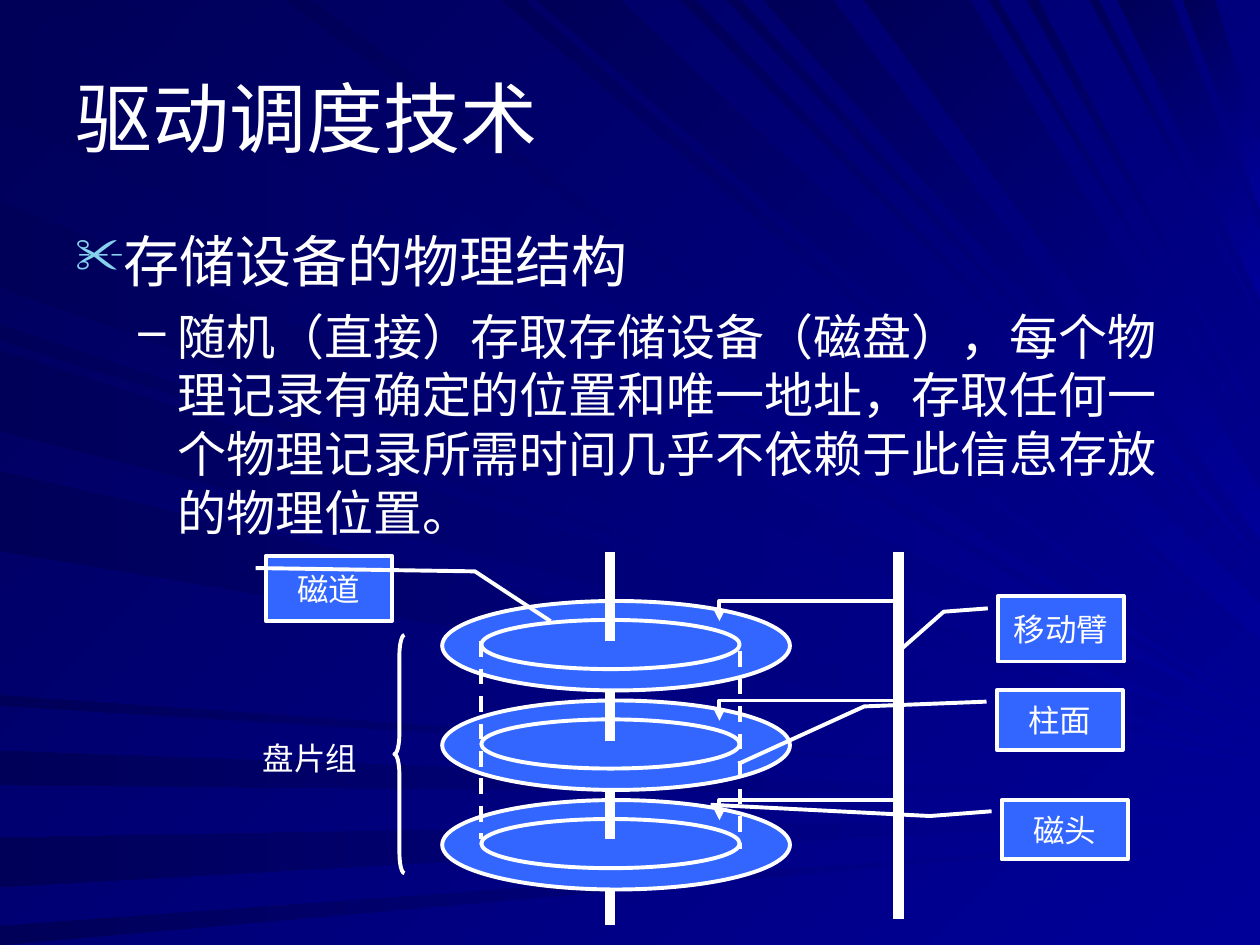
from dataclasses import dataclass
from itertools import chain
from typing import Any, Optional

from lxml import etree
from pptx import Presentation
from pptx.dml.color import RGBColor
from pptx.enum import dml, shapes, text
from pptx.oxml import ns
from pptx.util import Inches, Pt

WHITE = RGBColor(0xFF, 0xFF, 0xFF)
DISC = RGBColor(0x33, 0x66, 0xFF)
SKY = RGBColor(0x86, 0xD1, 0xEC)
BLUE = RGBColor(0, 0, 0x99)
DEEP = RGBColor(0, 0, 0x58)
FONT = "Arial"
SHAPE = shapes.MSO_SHAPE
WIDE, HIGH = 10, 7.5
THIN, THICK = 2.25, 6
GAP = 0.79
DISCS = 3


@dataclass
class Ray:
    near: float
    far: float
    tip: float
    spread: float = 0


@dataclass
class Call:
    label: str
    box: tuple[float, float, float, float]
    bends: tuple[float, float, float, float]


@dataclass
class Para:
    words: str
    size: int
    mark: str = ""
    tint: RGBColor = WHITE
    scale: int = 100
    left: float = 0
    hang: float = 0
    level: int = 0
    above: int = 0
    align: Any = text.PP_ALIGN.LEFT


SIDE = [
    Ray(0.02, 0.93, 5.7), Ray(5.96, 6.23, 6.32), Ray(6.65, 7.04, 6.47),
    Ray(7.35, 7.5, 6.62), Ray(2.58, 2.7, 5.89), Ray(1.59, 2.28, 5.85),
    Ray(2.78, 3.42, 6), Ray(3.74, 4.37, 6.05), Ray(5.52, 5.6, 6.22),
]
ROOF = [
    Ray(0.26, 1.01, 5.63), Ray(3.98, 4.16, 5.18), Ray(4.26, 4.92, 4.93, 0.28),
    Ray(5.4, 5.52, 4.63), Ray(6.06, 6.61, 4.46), Ray(8.87, 9.3, 2.1, 0.54),
    Ray(9.39, 9.64, 1.4, 0.53), Ray(2.25, 2.47, 5.5), Ray(5.77, 5.88, 4.54),
    Ray(6.86, 7.7, 4.09, 0.38), Ray(7.85, 7.92, 3.57), Ray(8.15, 8.24, 3.36),
    Ray(8.65, 8.72, 2.53),
]
CALLS = [
    Call("移动臂", (7.92, 4.73, 1, 0.52), (0.24, -0.43, 0.85, -0.79)),
    Call("磁头", (7.95, 6.35, 1, 0.47), (0.27, -0.57, 0.08, -2.31)),
    Call("柱面", (7.91, 5.48, 1, 0.47), (0.27, -1.05, 1.24, -2.05)),
    Call("磁道", (2.11, 4.41, 1, 0.52), (0.24, 1.66, 1, 2.26)),
]
BODY = [
    Para("存储设备的物理结构", 32, "✂", SKY, 90, 0.38, -0.38),
    Para("随机（直接）存取存储设备（磁盘），每个物理记录有确定的位置和唯一地址，"
         "存取任何一个物理记录所需时间几乎不依赖于此信息存放的物理位置。",
         28, "–", left=0.81, hang=-0.31, level=1, above=7),
]


def put(item: Any, values: dict[str, Any]) -> None:
    for name, value in values.items():
        setattr(item, name, value)


def add_tag(parent: Any, name: str, **attrs: str) -> Any:
    return etree.SubElement(parent, ns.qn(name), attrs)


def shade(fill: Any, angle: int) -> None:
    fill.gradient()
    fill.gradient_angle = angle
    for part, color in zip(fill.gradient_stops, (BLUE, DEEP)):
        part.color.rgb = color


def stroke(item: Any, width: float = THIN) -> None:
    item.line.color.rgb = WHITE
    item.line.width = Pt(width)


def trace(slide: Any, points: list[tuple[float, float]], close: bool) -> Any:
    spots = [(Inches(x), Inches(y)) for x, y in points]
    pen = slide.shapes.build_freeform(*spots[0])
    pen.add_line_segments(spots[1:], close=close)
    item = pen.convert_to_shape()
    item.shadow.inherit = False
    return item


def draw_ray(slide: Any, ray: Ray, roof: bool) -> None:
    half = ray.spread / 2
    base = [(ray.far, 0), (ray.near, 0)] if roof else [(0, ray.near), (0, ray.far)]
    item = trace(slide, base + [(WIDE, ray.tip + half), (WIDE, ray.tip - half)], True)
    shade(item.fill, 135 if roof else 180)
    item.line.fill.background()


def draw_shape(slide: Any, kind: Any, box: tuple[float, ...], fill: Optional[RGBColor] = None) -> Any:
    item = slide.shapes.add_shape(kind, *map(Inches, box))
    item.shadow.inherit = False
    if fill is None:
        item.fill.background()
    else:
        item.fill.solid()
        item.fill.fore_color.rgb = fill
    stroke(item)
    return item


def draw_line(slide: Any, x: float, top: float, base: float, width: float) -> Any:
    item = slide.shapes.add_connector(shapes.MSO_CONNECTOR.STRAIGHT, *map(Inches, (x, top, x, base)))
    add_tag(item._element.spPr, "a:effectLst")
    stroke(item, width)
    return item


def draw_arm(slide: Any, top: float) -> None:
    item = trace(slide, [(5.71, top + 0.16), (5.71, top), (7.13, top)], False)
    item.fill.background()
    stroke(item)
    add_tag(item.line._get_or_add_ln(), "a:headEnd", type="triangle")


def write(item: Any, paras: list[Para], anchor: Any = text.MSO_ANCHOR.TOP) -> None:
    frame = item.text_frame
    put(frame, {"word_wrap": True, "vertical_anchor": anchor})
    for i, para in enumerate(paras):
        line = frame.add_paragraph() if i else frame.paragraphs[0]
        if para.mark:
            props = line._p.get_or_add_pPr()
            props.set("marL", str(Inches(para.left)))
            props.set("indent", str(Inches(para.hang)))
            add_tag(add_tag(props, "a:buClr"), "a:srgbClr", val=str(para.tint))
            add_tag(props, "a:buSzPct", val=str(para.scale * 1000))
            add_tag(props, "a:buChar", char=para.mark)
        put(line, {"text": para.words, "level": para.level, "alignment": para.align,
                   "space_before": Pt(para.above)})
        put(line.font, {"name": FONT, "size": Pt(para.size)})
        line.font.color.rgb = WHITE


def draw_text(slide: Any, box: tuple[float, ...], paras: list[Para], anchor: Any = text.MSO_ANCHOR.TOP) -> None:
    write(slide.shapes.add_textbox(*map(Inches, box)), paras, anchor)


def draw_call(slide: Any, call: Call) -> None:
    item = draw_shape(slide, SHAPE.LINE_CALLOUT_2, call.box, DISC)
    for i, value in enumerate(chain((0.19, -0.08), call.bends)):
        item.adjustments[i] = value
    write(item, [Para(call.label, 18, align=text.PP_ALIGN.CENTER)], text.MSO_ANCHOR.MIDDLE)


def main() -> None:
    deck = Presentation()
    put(deck, {"slide_width": Inches(WIDE), "slide_height": Inches(HIGH)})
    slide = deck.slides.add_slide(deck.slide_layouts[6])
    shade(slide.background.fill, 135)
    for rays, roof in ((SIDE, False), (ROOF, True)):
        for ray in rays:
            draw_ray(slide, ray, roof)
    draw_text(slide, (0.5, 0.3, 9, 1.25), [Para("驱动调度技术", 44)], text.MSO_ANCHOR.MIDDLE)
    draw_text(slide, (0.5, 1.75, 9, 2.47), BODY)

    steps = [i * GAP for i in range(DISCS)]
    for step in steps:
        draw_shape(slide, SHAPE.OVAL, (3.51, 4.77 + step, 2.76, 0.71), DISC)
    for step in steps:
        draw_shape(slide, SHAPE.OVAL, (3.82, 4.92 + step, 2.05, 0.39))
    for top, base in ((4.38, 5.09), (5.48, 5.88), (6.27, 6.66), (7.06, 7.34)):
        draw_line(slide, 4.84, top, base, THICK)
    for x, top in ((3.82, 5.09), (5.87, 5.17)):
        draw_line(slide, x, top, top + 1.57, THIN).line.dash_style = dml.MSO_LINE.DASH
    draw_line(slide, 7.13, 4.38, 7.29, THICK)
    for step in steps:
        draw_arm(slide, 4.77 + step)
    brace = draw_shape(slide, SHAPE.LEFT_BRACE, (3.13, 5.04, 0.08, 1.89))
    brace.adjustments[0] = 2
    draw_text(slide, (1.95, 5.82, 1.02, 0.4), [Para("盘片组", 18, align=text.PP_ALIGN.CENTER)])
    for call in CALLS:
        draw_call(slide, call)
    deck.save("out.pptx")


if __name__ == "__main__":
    main()
